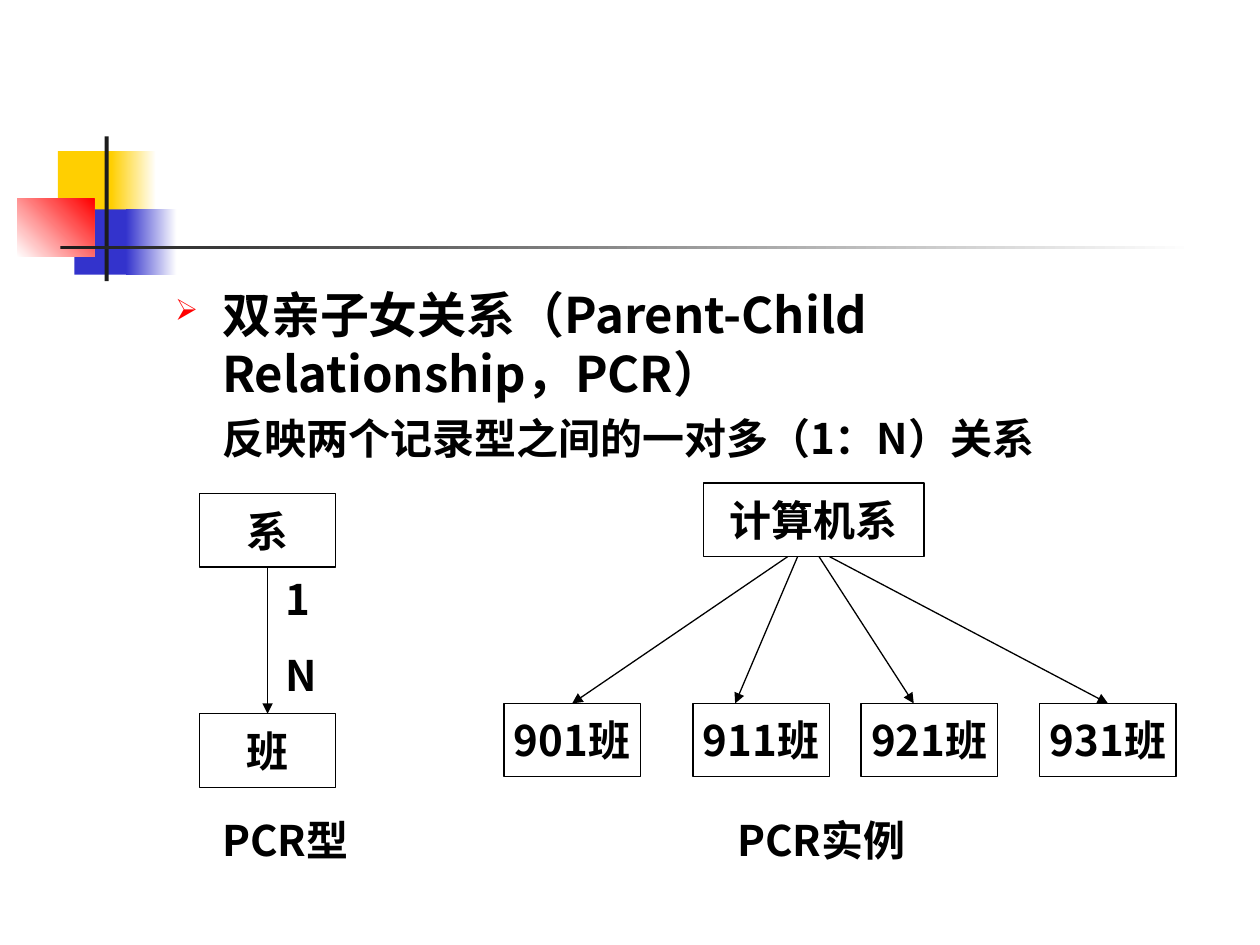
from typing import NamedTuple

from lxml.etree import SubElement
from pptx import Presentation
from pptx.dml.color import RGBColor
from pptx.enum.shapes import MSO_CONNECTOR as Conn, MSO_SHAPE as Shape
from pptx.enum.text import MSO_ANCHOR as Anchor, PP_ALIGN as Align
from pptx.oxml.ns import qn
from pptx.util import Cm, Pt

FONT = "Noto Sans CJK SC"
COLORS = {"black": "000000", "white": "FFFFFF", "yellow": "FFCF01",
          "blue": "3333CC", "red": "FF0000", "dark": "1C1C1C"}
BOX_W, BOX_H = 2.75, 1.48


class Block(NamedTuple):
    x: float
    y: float
    w: float
    h: float
    start: str
    end: str = ""
    angle: int = 0


class Record(NamedTuple):
    text: str
    x: float
    y: float
    w: float = BOX_W


class Child(NamedTuple):
    text: str
    x: float
    from_x: float
    to_x: float
    centred: bool


BLOCKS = [
    Block(1.17, 3.05, 1.22, 1.32, "yellow"),
    Block(2.24, 3.05, 0.91, 1.32, "yellow", "white"),
    Block(1.5, 4.22, 1.17, 1.32, "blue"),
    Block(2.54, 4.22, 1.02, 1.32, "blue", "white"),
    Block(0.35, 4.01, 1.55, 1.17, "white", "red", 45),
    Block(2.11, 2.75, 0.08, 2.92, "dark"),
    Block(1.22, 4.95, 22.86, 0.08, "dark", "white"),
]
DEPARTMENT = Record("系", 4.02, 9.95)
CLASS = Record("班", 4.02, 14.39)
PARENT = Record("计算机系", 14.18, 9.74, 4.45)
CHILD_Y = 14.18
CHILDREN = [
    Child("901班", 10.16, 15.88, 11.64, True),
    Child("911班", 13.97, 16.08, 14.82, False),
    Child("921班", 17.36, 16.51, 18.42, False),
    Child("931班", 20.96, 16.72, 22.44, True),
]


def rgb(name: str) -> RGBColor:
    """Look up a named colour."""
    return RGBColor.from_string(COLORS[name])


def add_text(tf, text: str, *, size: int = 24, before: int = 0, align=Align.LEFT,
             indent: float = 0, bullet: str = ""):
    """Write one formatted paragraph into a text frame."""
    p = tf.paragraphs[0]
    if p.runs:
        p = tf.add_paragraph()
    p.alignment = align
    p.space_before = Pt(before)
    r = p.add_run()
    r.text = text
    r.font.size, r.font.bold, r.font.name = Pt(size), True, FONT
    r.font.color.rgb = rgb("black")
    SubElement(r.font._element, qn("a:ea"), typeface=FONT)
    pPr = p._p.get_or_add_pPr()
    pPr.set("marL", str(Cm(indent)))
    pPr.set("indent", str(-Cm(indent) if bullet else 0))
    if bullet:
        color = SubElement(pPr, qn("a:buClr"))
        SubElement(color, qn("a:srgbClr"), val=COLORS["red"])
        SubElement(pPr, qn("a:buSzPct"), val="60000")
        SubElement(pPr, qn("a:buChar"), char=bullet)


def add_rect(s, x: float, y: float, w: float, h: float):
    """Add a rectangle without shadow."""
    sp = s.shapes.add_shape(Shape.RECTANGLE, Cm(x), Cm(y), Cm(w), Cm(h))
    sp.shadow.inherit = False
    return sp


def add_block(s, b: Block):
    """Add a plain or gradient decoration block."""
    sp = add_rect(s, b.x, b.y, b.w, b.h)
    sp.line.fill.background()
    if not b.end:
        sp.fill.solid()
        sp.fill.fore_color.rgb = rgb(b.start)
        return
    sp.fill.gradient()
    sp.fill.gradient_angle = b.angle
    for stop, name, pos in zip(sp.fill.gradient_stops, (b.start, b.end), (0, 1)):
        stop.color.rgb = rgb(name)
        stop.position = pos


def add_record(s, rec: Record):
    """Add an outlined record box with a centred label."""
    sp = add_rect(s, rec.x, rec.y, rec.w, BOX_H)
    sp.fill.background()
    sp.line.color.rgb, sp.line.width = rgb("black"), Pt(0.75)
    tf = sp.text_frame
    tf.word_wrap, tf.vertical_anchor = False, Anchor.MIDDLE
    add_text(tf, rec.text, align=Align.CENTER)
    return sp


def add_arrow(s, x1: float, y1: float, x2: float, y2: float, begin=None, end=None):
    """Add an arrow, joined to the bottom of begin and the top of end if given."""
    c = s.shapes.add_connector(Conn.STRAIGHT, Cm(x1), Cm(y1), Cm(x2), Cm(y2))
    if begin is not None:
        c.begin_connect(begin, 2)
    if end is not None:
        c.end_connect(end, 0)
    c.line.color.rgb, c.line.width = rgb("black"), Pt(0.75)
    SubElement(c.line._get_or_add_ln(), qn("a:tailEnd"), type="triangle")
    SubElement(c._element.spPr, qn("a:effectLst"))


def add_box(s, x: float, y: float, w: float, h: float):
    """Add a wrapping text box and return its text frame."""
    tf = s.shapes.add_textbox(Cm(x), Cm(y), Cm(w), Cm(h)).text_frame
    tf.word_wrap = True
    return tf


def main():
    """Build the parent-child relationship slide."""
    prs = Presentation()
    prs.slide_width, prs.slide_height = Cm(25.4), Cm(19.05)
    s = prs.slides.add_slide(prs.slide_layouts[6])
    for b in BLOCKS:
        add_block(s, b)

    tf = add_box(s, 3.28, 5.61, 21.59, 4.55)
    add_text(tf, "双亲子女关系（Parent-Child Relationship，PCR）",
             size=28, before=7, indent=0.95, bullet="➢")
    add_text(tf, "反映两个记录型之间的一对多（1：N）关系", before=6, indent=0.95)

    department, class_box = add_record(s, DEPARTMENT), add_record(s, CLASS)
    mid = DEPARTMENT.x + BOX_W / 2
    add_arrow(s, mid, DEPARTMENT.y + BOX_H, mid, CLASS.y, department, class_box)

    add_record(s, PARENT)
    for c in CHILDREN:
        sp = add_record(s, Record(c.text, c.x, CHILD_Y))
        add_arrow(s, c.from_x, PARENT.y + BOX_H, c.to_x, CHILD_Y,
                  end=sp if c.centred else None)

    tf = add_box(s, 5.5, 11.43, 1.27, 2.82)
    for text in ("1", "N"):
        add_text(tf, text, before=15)
    for text, x in (("PCR型", 4.23), ("PCR实例", 14.61)):
        add_text(add_box(s, x, 16.3, 4.66, 1.27), text, before=15)

    prs.save("out.pptx")


if __name__ == "__main__":
    main()
